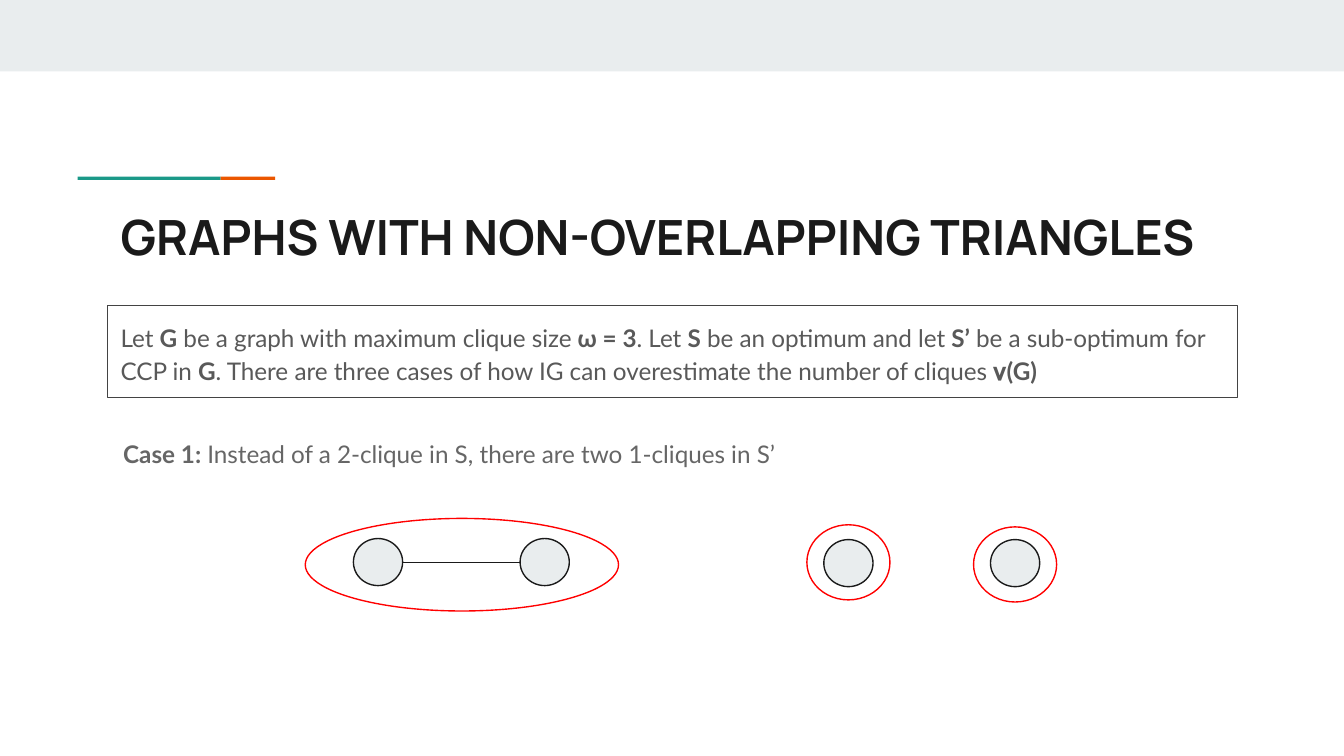
from pptx import Presentation
from pptx.dml.color import RGBColor
from pptx.enum.shapes import MSO_CONNECTOR, MSO_SHAPE
from pptx.enum.text import MSO_ANCHOR, PP_ALIGN
from pptx.oxml import parse_xml
from pptx.util import Cm, Pt

RECT, OVAL = MSO_SHAPE.RECTANGLE, MSO_SHAPE.OVAL
LINE = MSO_CONNECTOR.STRAIGHT
TOP, LEFT = MSO_ANCHOR.TOP, PP_ALIGN.LEFT
HUES = {
    "pale": "E9EDEE", "green": "1A9988", "orange": "EB5600", "ink": "1A1A1A",
    "frame": "434343", "body": "595959", "grey": "666666", "red": "FF0000",
}
NO_GLOW = '<a:effectLst xmlns:a="http://schemas.openxmlformats.org/drawingml/2006/main"/>'


class Board:
    """Draws styled elements, measured in centimetres, on one slide."""

    def __init__(self, slide):
        self.shapes = slide.shapes
        self.inset = Cm(0.25)
        self.width = Pt(0.75)

    def hue(self, name):
        return RGBColor.from_string(HUES[name])

    def shape(self, kind, box, fill=None, line=None):
        item = self.shapes.add_shape(kind, *map(Cm, box))
        item.shadow.inherit = False
        if fill:
            item.fill.solid()
            item.fill.fore_color.rgb = self.hue(fill)
        else:
            item.fill.background()
        if line:
            item.line.color.rgb = self.hue(line)
            item.line.width = self.width
        else:
            item.line.fill.background()
        return item

    def text(self, box, runs, font, size, hue, line=None, space=None):
        frame = self.shape(RECT, box, line=line).text_frame
        frame.word_wrap = True
        frame.vertical_anchor = TOP
        frame.margin_left = frame.margin_right = self.inset
        frame.margin_top = frame.margin_bottom = self.inset
        para = frame.paragraphs[0]
        para.alignment = LEFT
        if space:
            para.line_spacing = space
        for words, bold in runs:
            run = para.add_run()
            run.text = words
            run.font.name = font
            run.font.size = Pt(size)
            run.font.bold = bold
            run.font.color.rgb = self.hue(hue)

    def edge(self, start, end, y):
        item = self.shapes.add_connector(LINE, Cm(start), Cm(y), Cm(end), Cm(y))
        item.line.color.rgb = self.hue("ink")
        item.line.width = self.width
        item._element.spPr.append(parse_xml(NO_GLOW))


def main():
    deck = Presentation()
    deck.slide_width, deck.slide_height = Cm(25.4), Cm(14.29)
    board = Board(deck.slides.add_slide(deck.slide_layouts[6]))

    board.shape(RECT, (0, 0, 25.4, 1.35), "pale")
    board.shape(RECT, (1.47, 3.34, 2.7, 0.06), "green")
    board.shape(RECT, (4.17, 3.34, 1.03, 0.06), "orange")

    board.text((2.03, 3.66, 22.3, 1.5),
               [("GRAPHS WITH NON-OVERLAPPING TRIANGLES", True)],
               "Manrope", 26, "ink")
    claim = [
        ("Let ", False), ("G", True),
        (" be a graph with maximum clique size ", False), ("ω = 3", True),
        (". Let ", False), ("S", True),
        (" be an optimum and let ", False), ("S’", True),
        (" be a sub-optimum for CCP in ", False), ("G", True),
        (". There are three cases of how IG can overestimate the number of cliques 𝛎", False),
        ("(G)", True),
    ]
    board.text((2.03, 5.77, 21.36, 1.75), claim, "Lato", 13, "body", "frame", 1.15)
    case = [("Case 1:", True),
            (" Instead of a 2-clique in S, there are two 1-cliques in S’", False)]
    board.text((2.08, 8.05, 21.31, 5.18), case, "Lato", 13, "grey")

    wide, high, step = 0.93, 0.89, 3.15
    pair, lone = 6.68, 15.57
    for left, top in ((pair, 10.18), (lone, 10.2)):
        for i in range(2):
            board.shape(OVAL, (left + i * step, top, wide, high), "pale", "ink")
    board.edge(pair + wide, pair + step, 10.63)

    board.shape(OVAL, (5.77, 9.8, 5.92, 1.75), line="red")
    for i in range(2):
        board.shape(OVAL, (15.25 + i * step, 9.92 + i * 0.04, 1.57, 1.42), line="red")

    deck.save("out.pptx")


if __name__ == "__main__":
    main()
